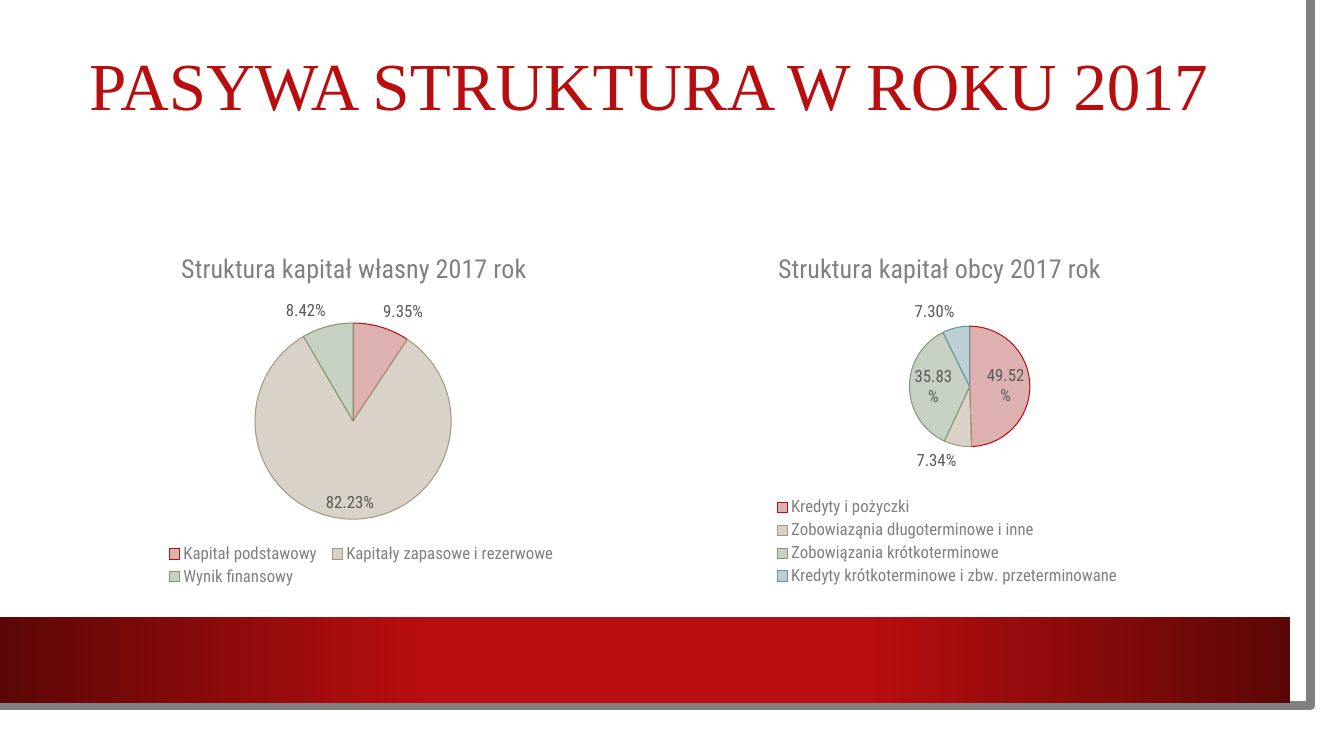
from lxml import etree
from pptx import Presentation
from pptx import util as u
from pptx.chart import data as cd
from pptx.dml.color import RGBColor
from pptx.enum import chart as ce
from pptx.enum import shapes, text
from pptx.oxml import ns

RED = RGBColor(0xB8, 0x0E, 0x0F)
DARK = RGBColor(0x5C, 0x07, 0x07)
WHITE = RGBColor(0xFF, 0xFF, 0xFF)
GREY = RGBColor(0x80, 0x80, 0x80)
INK = RGBColor(0x59, 0x59, 0x59)
FILLS = [RGBColor(0xDE, 0xB1, 0xB1), RGBColor(0xD8, 0xD2, 0xC9),
         RGBColor(0xC7, 0xD1, 0xC3), RGBColor(0xBE, 0xCF, 0xD3)]
EDGES = [RED, RGBColor(0xA6, 0x98, 0x7D),
         RGBColor(0x7F, 0x9A, 0x71), RGBColor(0x64, 0x96, 0x9F)]
SANS = "Roboto Condensed"
SERIF = "Times New Roman"

OWN = {
    "left": 0.75, "title": "Struktura kapitał własny 2017 rok",
    "head": (0.18, 0.05), "pie": (0.32, 0.26, 0.35, 0.54),
    "key": (0.15, 0.86, 0.72, 0.13),
    "parts": {"Kapitał podstawowy": 0.0935,
              "Kapitały zapasowe i rezerwowe": 0.8223,
              "Wynik finansowy": 0.0842},
}
DEBT = {
    "left": 6.56, "title": "Struktura kapitał obcy 2017 rok",
    "head": (0.2, 0.05), "pie": (0.44, 0.27, 0.22, 0.33),
    "key": (0.19, 0.73, 0.64, 0.26),
    "parts": {"Kredyty i pożyczki": 0.4952,
              "Zobowiaząnia długoterminowe i inne": 0.0734,
              "Zobowiązania krótkoterminowe": 0.3583,
              "Kredyty krótkoterminowe i zbw. przeterminowane": 0.073},
}


def style(item, **form):
    for key, val in form.items():
        setattr(item, key, val)


def paint(font, name, size, tone):
    style(font, name=name, size=u.Pt(size), bold=False)
    font.color.rgb = tone


def add_rect(slide, *box):
    rect = slide.shapes.add_shape(shapes.MSO_SHAPE.RECTANGLE,
                                  *map(u.Inches, box))
    rect.shadow.inherit = False
    rect.line.fill.background()
    return rect


def add_sheet(slide):
    sheet = add_rect(slide, 0, 0, 13.1, 7.27)
    sheet.fill.solid()
    sheet.fill.fore_color.rgb = WHITE


def add_rim(slide):
    pen = slide.shapes.build_freeform(12.82, 0, scale=u.Inches(1))
    pen.add_line_segments([(12.85, 7.02), (-0.03, 7.01)], close=False)
    rim = pen.convert_to_shape()
    rim.shadow.inherit = False
    rim.fill.background()
    rim.line.color.rgb = GREY
    rim.line.width = u.Pt(6.5)


def add_band(slide):
    band = add_rect(slide, 0, 6.12, 12.8, 0.85)
    band.fill.gradient()
    band.fill.gradient_angle = 0
    stops = band.element.spPr.find(".//" + ns.qn("a:gsLst"))
    for stop in list(stops):
        stops.remove(stop)
    for pos, tone in ((0, DARK), (33, RED), (67, RED), (100, DARK)):
        stop = etree.SubElement(stops, ns.qn("a:gs"), pos=str(pos * 1000))
        etree.SubElement(stop, ns.qn("a:srgbClr"), val=str(tone))


def add_title(slide, words):
    title = slide.shapes.title
    style(title, left=u.Inches(0.75), top=u.Inches(0.46),
          width=u.Inches(11.37), height=u.Inches(0.85))
    frame = title.text_frame
    frame.text = words
    style(frame, vertical_anchor=text.MSO_ANCHOR.MIDDLE, word_wrap=True,
          auto_size=text.MSO_AUTO_SIZE.NONE)
    para = frame.paragraphs[0]
    style(para, alignment=text.PP_ALIGN.CENTER, line_spacing=0.9)
    paint(para.runs[0].font, SERIF, 48, RED)


def place(node, after, spots, inner=False):
    for old in node.findall(ns.qn("c:layout")):
        node.remove(old)
    layout = etree.Element(ns.qn("c:layout"))
    manual = etree.SubElement(layout, ns.qn("c:manualLayout"))
    marks = [("layoutTarget", "inner")] if inner else []
    marks += [("xMode", "edge"), ("yMode", "edge")]
    marks += zip("xywh", spots)
    for tag, val in marks:
        etree.SubElement(manual, ns.qn("c:" + tag), val=str(val))
    if after is None:
        node.insert(0, layout)
    else:
        node.find(ns.qn(after)).addnext(layout)


def add_pie(slide, plan):
    data = cd.CategoryChartData(number_format="0.00%")
    data.categories = list(plan["parts"])
    data.add_series("Series 1", list(plan["parts"].values()))
    box = map(u.Inches, (plan["left"], 2.26, 5.56, 3.62))
    chart = slide.shapes.add_chart(ce.XL_CHART_TYPE.PIE, *box, data).chart
    paint(chart.font, SANS, 10, RGBColor(0, 0, 0))

    style(chart, has_title=True, has_legend=True)
    head = chart.chart_title.text_frame
    head.text = plan["title"]
    paint(head.paragraphs[0].runs[0].font, SANS, 18.6, GREY)

    legend = chart.legend
    style(legend, position=ce.XL_LEGEND_POSITION.BOTTOM,
          include_in_layout=False)
    paint(legend.font, SANS, 12, GREY)

    plot = chart.plots[0]
    style(plot, vary_by_categories=True, has_data_labels=True)
    labels = plot.data_labels
    style(labels, show_value=True, show_percentage=False,
          number_format="0.00%", number_format_is_linked=False,
          position=ce.XL_LABEL_POSITION.BEST_FIT)
    paint(labels.font, SANS, 12, INK)
    for num, (fill, edge) in enumerate(zip(FILLS, EDGES)):
        if num < len(plan["parts"]):
            part = plot.series[0].points[num].format
            part.fill.solid()
            part.fill.fore_color.rgb = fill
            part.line.color.rgb = edge
            part.line.width = u.Pt(0.75)

    root = chart.element
    place(root.find(".//" + ns.qn("c:title")), "c:tx", plan["head"])
    place(root.find(".//" + ns.qn("c:plotArea")), None, plan["pie"], True)
    place(root.find(".//" + ns.qn("c:legend")), "c:legendPos", plan["key"])


def main():
    deck = Presentation()
    style(deck, slide_width=u.Inches(13.33), slide_height=u.Inches(7.5))
    slide = deck.slides.add_slide(deck.slide_layouts[5])
    add_sheet(slide)
    add_rim(slide)
    add_band(slide)
    title = slide.shapes.title.element
    title.getparent().append(title)
    add_title(slide, "PASYWA STRUKTURA W ROKU 2017")
    for plan in (OWN, DEBT):
        add_pie(slide, plan)
    deck.save("out.pptx")


if __name__ == "__main__":
    main()
